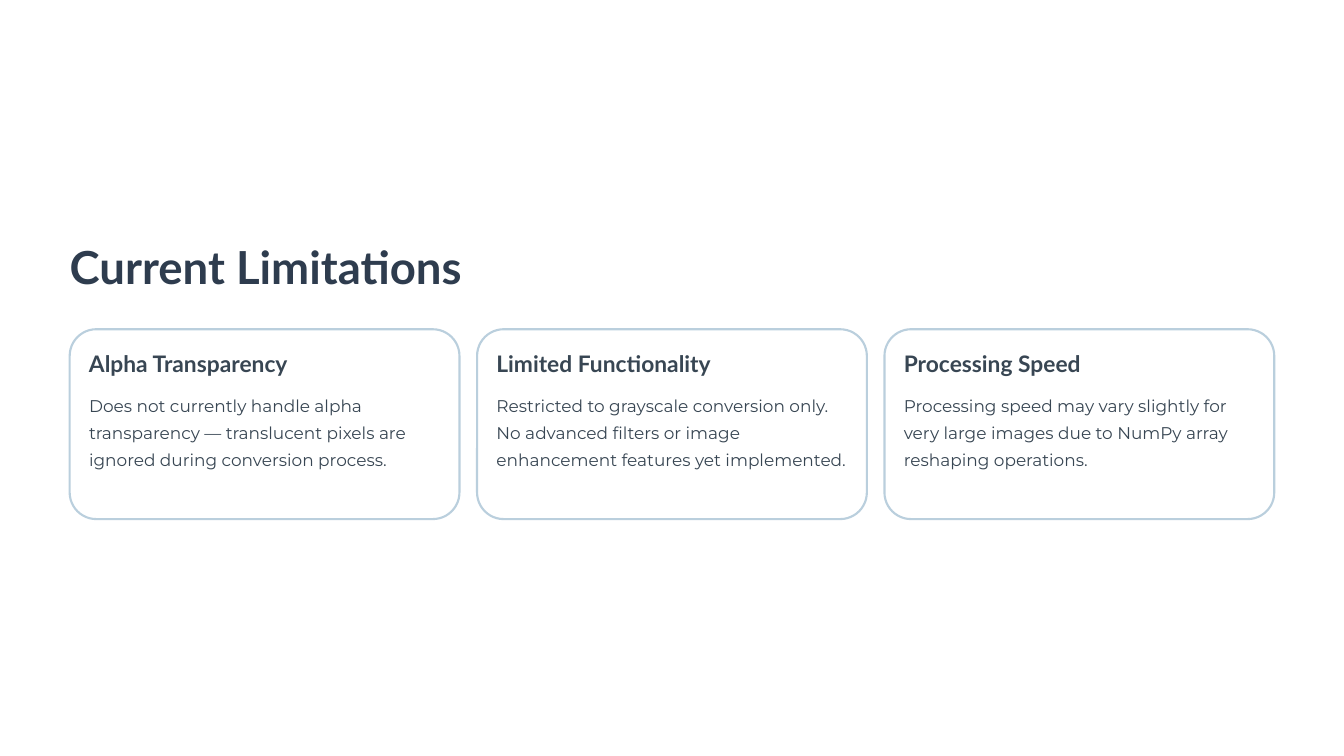
import pptx
import pptx.dml.color
import pptx.enum.shapes
import pptx.util
from pptx.util import Inches

COLORS = {"white": "FFFFFF", "title": "2E3C4E", "text": "384653", "border": "BACFDD"}


def rgb(name):
    return pptx.dml.color.RGBColor.from_string(COLORS[name])


def add_text(slide, text, box, font_name, size, spacing, color, bold=False, wrap=False):
    shape = slide.shapes.add_textbox(*[Inches(length) for length in box])
    text_frame = shape.text_frame
    text_frame.margin_left = text_frame.margin_right = 0
    text_frame.margin_top = text_frame.margin_bottom = 0
    text_frame.word_wrap = wrap
    text_frame.text = text
    paragraph = text_frame.paragraphs[0]
    paragraph.line_spacing = pptx.util.Pt(spacing)
    font = paragraph.runs[0].font
    font.name = font_name
    font.size = pptx.util.Pt(size)
    font.bold = bold
    font.color.rgb = rgb(color)


presentation = pptx.Presentation()
presentation.slide_width = Inches(16)
presentation.slide_height = Inches(9)
slide = presentation.slides.add_slide(presentation.slide_layouts[6])
slide.background.fill.solid()
slide.background.fill.fore_color.rgb = rgb("white")

add_text(slide, "Current Limitations", (0.83, 2.82, 5.46, 0.68), "Lato", 39, 49, "title", bold=True)

limitations = [
    ("Alpha Transparency",
     "Does not currently handle alpha transparency — translucent pixels are ignored during conversion process."),
    ("Limited Functionality",
     "Restricted to grayscale conversion only. No advanced filters or image enhancement features yet implemented."),
    ("Processing Speed",
     "Processing speed may vary slightly for very large images due to NumPy array reshaping operations."),
]
card_left, card_top, card_width, card_height = 0.83, 3.92, 4.64, 2.26
card_pitch, padding = 4.85, 0.23

for index, (heading, description) in enumerate(limitations):
    left = card_left + index * card_pitch
    card = slide.shapes.add_shape(
        pptx.enum.shapes.MSO_SHAPE.ROUNDED_RECTANGLE,
        Inches(left), Inches(card_top), Inches(card_width), Inches(card_height))
    card.adjustments[0] = 0.14
    card.shadow.inherit = False
    card.fill.solid()
    card.fill.fore_color.rgb = rgb("white")
    card.line.color.rgb = rgb("border")
    card.line.width = pptx.util.Pt(1.8)

    text_left = left + padding
    add_text(slide, heading, (text_left, card_top + padding, 2.73, 0.34),
             "Lato", 19.5, 24.5, "text", bold=True)
    add_text(slide, description, (text_left, 4.62, card_width - 2 * padding, 0.99),
             "Montserrat", 14.5, 23.5, "text", wrap=True)

presentation.save("out.pptx")
